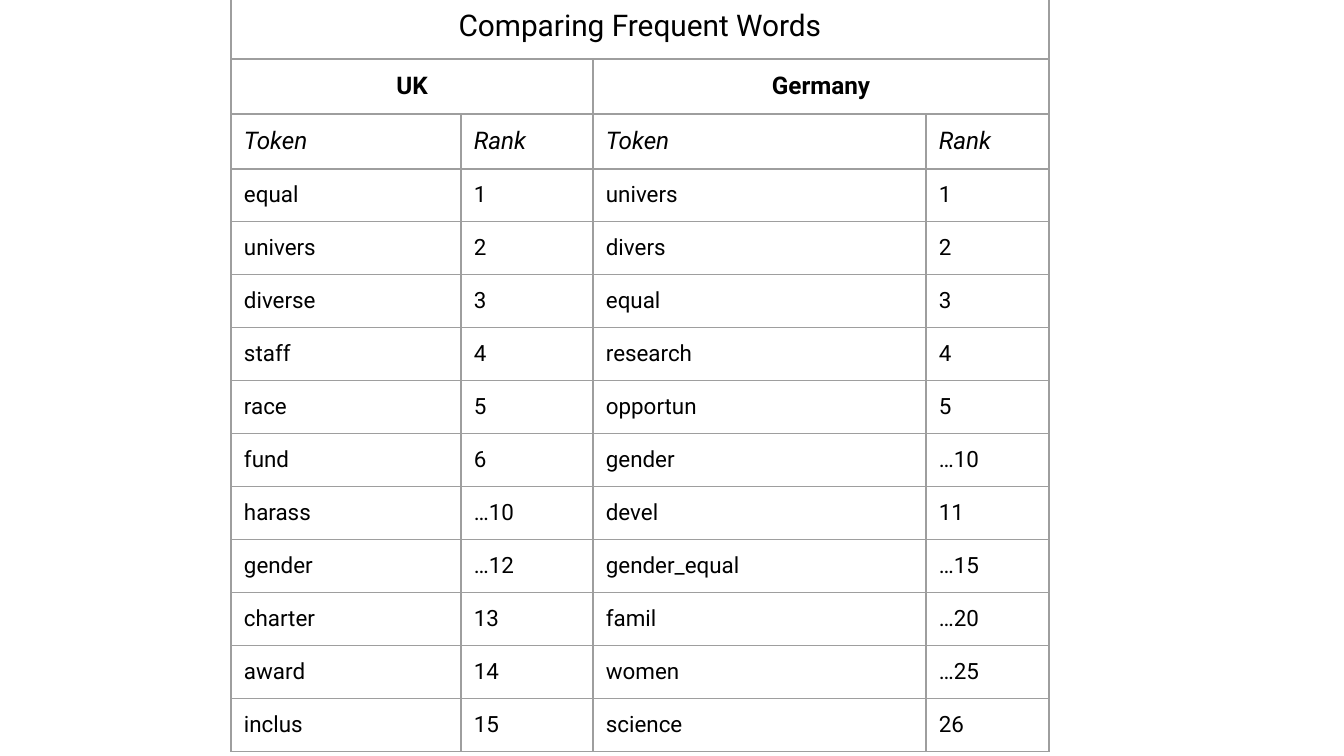
from lxml.etree import SubElement
from pptx import Presentation
from pptx.dml.color import RGBColor as Rgb
from pptx.enum.text import PP_ALIGN as Align
from pptx.oxml.ns import qn
from pptx.util import Emu, Pt

SCALE = 914400 / 134.4
FONT = "Roboto"
INK, PAPER, EDGE = "000000", "FFFFFF", "9E9E9E"
COLS = [230, 132, 333, 123]
HEADS = [63, 55, 55]
ROW = 53
PAD = 13
WORDS = [
    ("equal", "1", "univers", "1"),
    ("univers", "2", "divers", "2"),
    ("diverse", "3", "equal", "3"),
    ("staff", "4", "research", "4"),
    ("race", "5", "opportun", "5"),
    ("fund", "6", "gender", "…10"),
    ("harass", "…10", "devel", "11"),
    ("gender", "…12", "gender_equal", "…15"),
    ("charter", "13", "famil", "…20"),
    ("award", "14", "women", "…25"),
    ("inclus", "15", "science", "26"),
]


def px(n):
    return Emu(round(n * SCALE))


def color(code):
    return Rgb.from_string(code)


def add_edges(cell):
    props = cell._tc.get_or_add_tcPr()
    for i, side in enumerate(("lnL", "lnR", "lnT", "lnB")):
        line = props.makeelement(qn(f"a:{side}"), {"w": str(Pt(0.75))})
        props.insert(i, line)
        fill = SubElement(line, qn("a:solidFill"))
        SubElement(fill, qn("a:srgbClr"), val=EDGE)


def style_cell(cell):
    cell.margin_left = cell.margin_right = px(PAD)
    cell.margin_top = cell.margin_bottom = px(PAD)
    cell.fill.solid()
    cell.fill.fore_color.rgb = color(PAPER)
    add_edges(cell)


def set_text(cell, text, size, bold=False, italic=False, align=Align.LEFT):
    para = cell.text_frame.paragraphs[0]
    para.text = text
    para.alignment = align
    font = para.runs[0].font
    font.name = FONT
    font.size = Pt(size)
    font.bold = bold
    font.italic = italic
    font.color.rgb = color(INK)


def add_grid(slide):
    rows = HEADS + [ROW] * len(WORDS)
    frame = slide.shapes.add_table(
        len(rows), len(COLS), px(231), px(-4), px(sum(COLS)), px(sum(rows))
    )
    table = frame.table
    table.first_row = table.horz_banding = False
    for col, width in zip(table.columns, COLS):
        col.width = px(width)
    for row, height in zip(table.rows, rows):
        row.height = px(height)
    for cell in table.iter_cells():
        style_cell(cell)
    return table


def add_span(table, row, first, last, text, size, bold=False):
    cell = table.cell(row, first)
    cell.merge(table.cell(row, last))
    set_text(cell, text, size, bold=bold, align=Align.CENTER)


def add_row(table, row, texts, size, italic=False):
    for col, text in enumerate(texts):
        set_text(table.cell(row, col), text, size, italic=italic)


def main():
    deck = Presentation()
    deck.slide_width, deck.slide_height = px(1344), px(756)
    slide = deck.slides.add_slide(deck.slide_layouts[6])
    table = add_grid(slide)
    add_span(table, 0, 0, 3, "Comparing Frequent Words", 16)
    add_span(table, 1, 0, 1, "UK", 13, bold=True)
    add_span(table, 1, 2, 3, "Germany", 13, bold=True)
    add_row(table, 2, ("Token", "Rank") * 2, 13, italic=True)
    for row, texts in enumerate(WORDS, len(HEADS)):
        add_row(table, row, texts, 12)
    deck.save("out.pptx")


if __name__ == "__main__":
    main()
